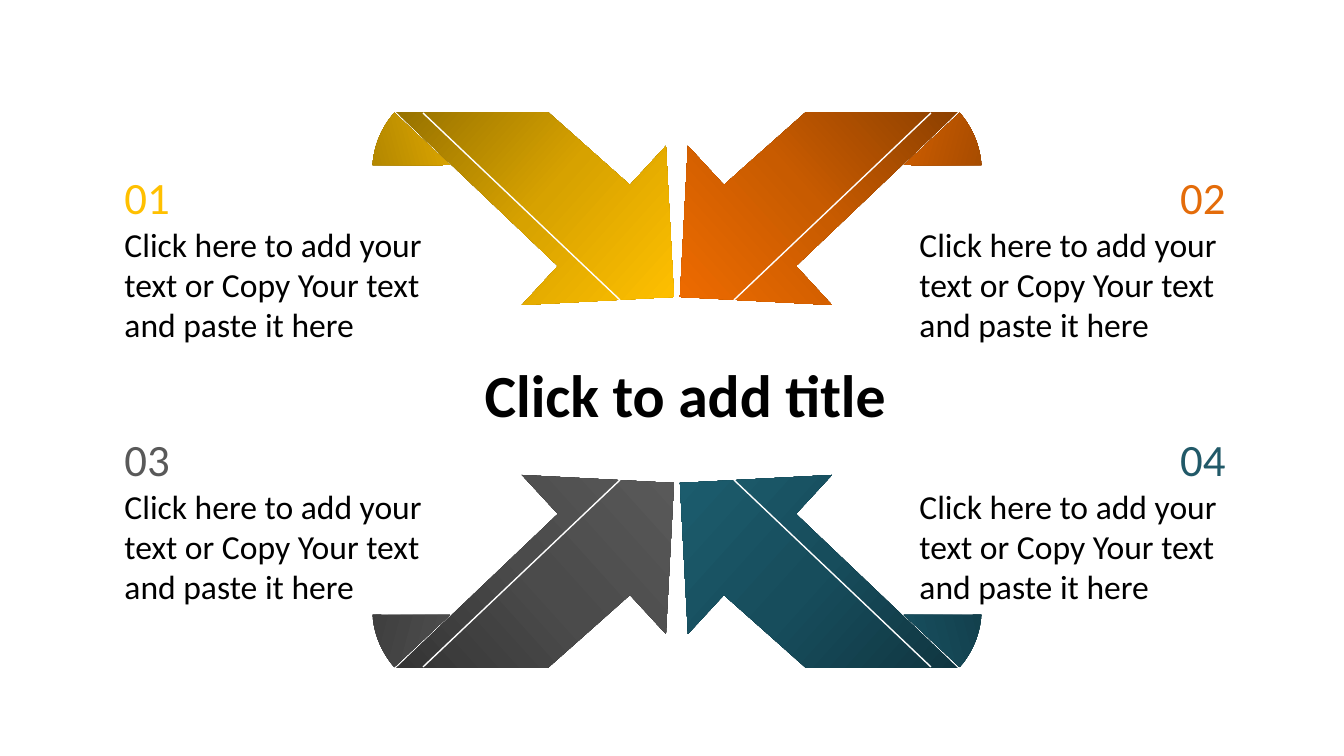
"""Build a slide of four folded arrows that meet around a central title."""
from copy import deepcopy

from pptx import Presentation
from pptx.dml.color import RGBColor
from pptx.enum import shapes, text
from pptx.oxml import ns, xmlchemy
from pptx.util import Emu, Pt

TITLE = "Click to add title"
LINES = ["Click here to add your", "text or Copy Your text", "and paste it here"]
PARTS = [
    {"num": "01", "right": False, "low": False, "hue": "gold"},
    {"num": "02", "right": True, "low": False, "hue": "orange"},
    {"num": "03", "right": False, "low": True, "hue": "gray"},
    {"num": "04", "right": True, "low": True, "hue": "teal"},
]
THEME = {
    "font": "Calibri", "ink": "000000", "paper": "FFFFFF",
    "title": 32, "num": 24, "body": 18, "rule": 0.75,
    "gold": ("977200", "D7A200", "FFC000", "FFC000"),
    "orange": ("8D4000", "C85B00", "EE6B00", "E46C0A"),
    "gray": ("353535", "4B4B4B", "595959", "595959"),
    "teal": ("103641", "174D5C", "1C5C6D", "215968"),
}

UNIT = 914400 / 134.4
WIDE, HIGH = 1344, 756
SPAN_X, SPAN_Y = 1354, 780
ARROW = [(548, 112), (630, 185), (666, 146), (674, 297),
         (522, 305), (558, 266), (396, 112)]
RULE = [(423, 113), (620, 300)]
FOLD = (368, 89, 164, 152)
CUT = (143.911, 169.898)
TILT, SLOPE = 60, 42
TEXT_X, TEXT_Y = (111, 906), (163, 425)
TEXT_W, TEXT_H = 333, 190


def px(*vals):
    return [Emu(round(val * UNIT)) for val in vals]


def rgb(code):
    return RGBColor.from_string(code)


def flip(spot, part):
    x, y = spot
    return SPAN_X - x if part["right"] else x, SPAN_Y - y if part["low"] else y


def place(shape, *box):
    shape.left, shape.top, shape.width, shape.height = px(*box)


def write(para, words, size, color=THEME["ink"], bold=False, align="LEFT"):
    props = para._p.get_or_add_pPr()
    props.set("marL", "0")
    props.set("indent", "0")
    props.append(xmlchemy.OxmlElement("a:buNone"))
    para.alignment = text.PP_ALIGN[align]
    para.space_before = Pt(0)
    run = para.add_run()
    run.text = words
    font = run.font
    font.name, font.size, font.bold = THEME["font"], Pt(size), bold
    font.color.rgb = rgb(color)


def frame(shape, wrap, anchor):
    body = shape.text_frame
    body.auto_size = text.MSO_AUTO_SIZE.NONE
    body.word_wrap = wrap
    body.vertical_anchor = text.MSO_ANCHOR[anchor]
    return body


def shade(shape, hues, angle):
    shape.shadow.inherit = False
    shape.line.fill.background()
    fill = shape.fill
    fill.gradient()
    fill.gradient_angle = angle
    stops = shape._element.spPr.find(".//" + ns.qn("a:gsLst"))
    stops.insert(1, deepcopy(stops[0]))
    for stop, hue, pos in zip(fill.gradient_stops, hues, (0, 0.5, 1)):
        stop.color.rgb = rgb(hue)
        stop.position = pos


def fold(slide, part):
    x, y, w, h = FOLD
    right, low = part["right"], part["low"]
    left = SPAN_X - x - w if right else x
    top = SPAN_Y - y - h if low else y
    pie = slide.shapes.add_shape(shapes.MSO_SHAPE.PIE, *px(left, top, w, h))
    pie.adjustments[0], pie.adjustments[1] = CUT
    pie.rotation = TILT if right != low else 360 - TILT
    form = pie._element.spPr.get_or_add_xfrm()
    for name, on in (("flipH", right), ("flipV", low)):
        if on:
            form.set(name, "1")
    shade(pie, THEME[part["hue"]], 315)


def arrow(slide, part):
    spots = [flip(spot, part) for spot in ARROW]
    path = slide.shapes.build_freeform(*spots[0], scale=UNIT)
    path.add_line_segments(spots[1:], close=True)
    turn = 180 - SLOPE if part["right"] else SLOPE
    shade(path.convert_to_shape(), THEME[part["hue"]],
          turn if part["low"] else 360 - turn)


def rule(slide, part):
    start, end = [px(*flip(spot, part)) for spot in RULE]
    line = slide.shapes.add_connector(shapes.MSO_CONNECTOR.STRAIGHT, *start, *end)
    line.line.color.rgb = rgb(THEME["paper"])
    line.line.width = Pt(THEME["rule"])
    line._element.spPr.append(xmlchemy.OxmlElement("a:effectLst"))


def label(shape, part):
    place(shape, TEXT_X[part["right"]], TEXT_Y[part["low"]], TEXT_W, TEXT_H)
    body = frame(shape, True, "TOP")
    write(body.paragraphs[0], part["num"], THEME["num"], THEME[part["hue"]][-1],
          align="RIGHT" if part["right"] else "LEFT")
    for words in LINES:
        write(body.add_paragraph(), words, THEME["body"])


def main():
    deck = Presentation()
    deck.slide_width, deck.slide_height = px(WIDE, HIGH)
    slide = deck.slides.add_slide(deck.slide_layouts.get_by_name("Comparison"))
    back = slide.background.fill
    back.solid()
    back.fore_color.rgb = rgb(THEME["paper"])
    title, *bodies = slide.placeholders
    place(title, 469, 351, 433, 86)
    write(frame(title, False, "MIDDLE").paragraphs[0], TITLE, THEME["title"],
          bold=True, align="CENTER")
    for shape, part in zip(bodies, PARTS):
        label(shape, part)
    for draw in (fold, arrow, rule):
        for part in PARTS:
            draw(slide, part)
    deck.save("out.pptx")


if __name__ == "__main__":
    main()
